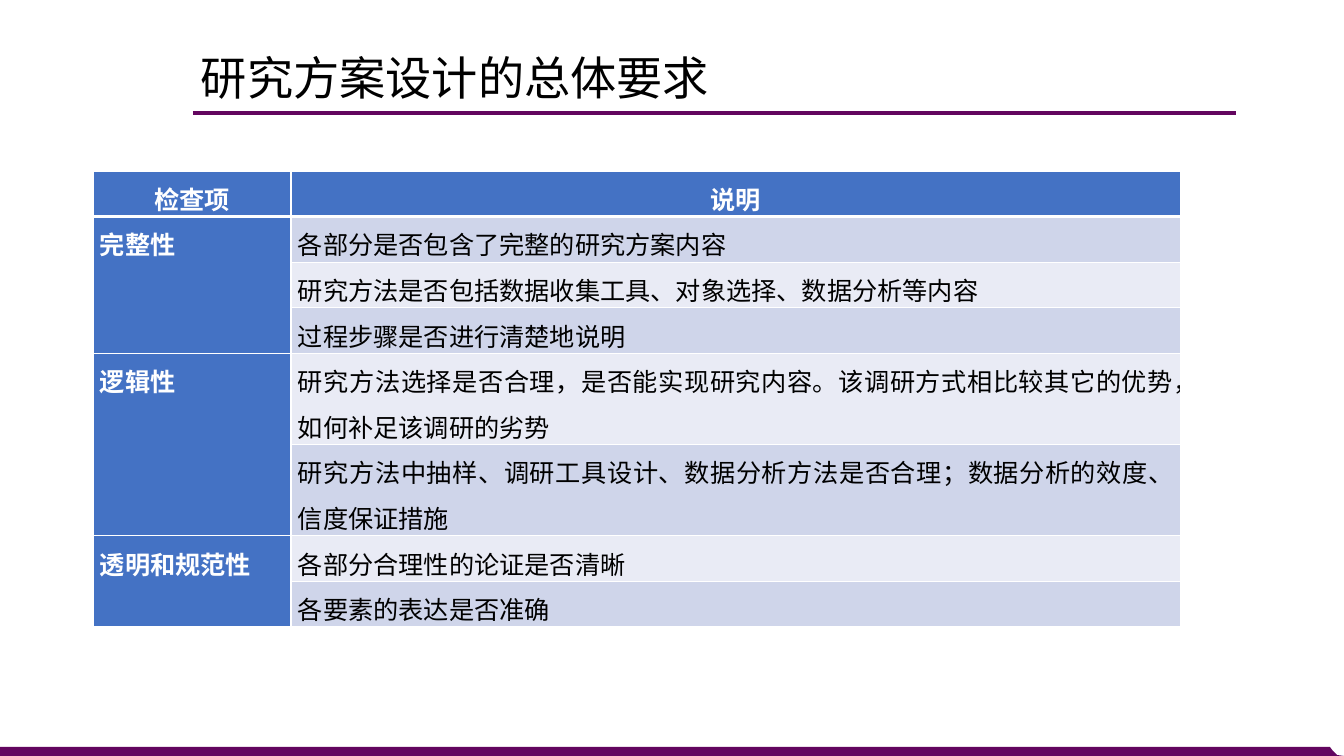
from lxml import etree
from pptx import Presentation
from pptx import util as u
from pptx.dml.color import RGBColor
from pptx.enum import shapes, text
from pptx.oxml import ns

EMU_PER_PX = 914400 / 100.8
FONT = "Noto Sans CJK SC"
COLORS = {
    "purple": "63065F",
    "blue": "4472C4",
    "band_dark": "CFD5EA",
    "band_light": "E9EBF5",
    "white": "FFFFFF",
    "black": "000000",
}
HEADERS = ["检查项", "说明"]
CHECKS = [
    ("完整性", [
        "各部分是否包含了完整的研究方案内容",
        "研究方法是否包括数据收集工具、对象选择、数据分析等内容",
        "过程步骤是否进行清楚地说明",
    ]),
    ("逻辑性", [
        "研究方法选择是否合理，是否能实现研究内容。该调研方式相比较其它的优势，如何补足该调研的劣势",
        "研究方法中抽样、调研工具设计、数据分析方法是否合理；数据分析的效度、信度保证措施",
    ]),
    ("透明和规范性", [
        "各部分合理性的论证是否清晰",
        "各要素的表达是否准确",
    ]),
]
COLUMN_WIDTHS = [198, 890]
ROW_HEIGHTS = [24, 24, 24, 24, 51, 24, 24, 24]


def px(length):
    """Turn pixels into EMU."""
    return u.Emu(round(length * EMU_PER_PX))


def color(name):
    """Look up a named colour."""
    return RGBColor.from_string(COLORS[name])


def format_paragraph(paragraph, size, color_name, spacing, latin=FONT, bold=False):
    """Set line spacing and the font of every run."""
    paragraph.line_spacing = spacing
    for run in paragraph.runs:
        run.font.size = u.Pt(size)
        run.font.bold = bold
        run.font.name = latin
        run.font.color.rgb = color(color_name)
        east_asian = etree.SubElement(run.font._element, ns.qn("a:ea"))
        east_asian.set("typeface", FONT)


def add_footer_band(slide):
    """Draw the band along the bottom with its notched right end."""
    builder = slide.shapes.build_freeform(0, 747, scale=EMU_PER_PX)
    builder.add_line_segments(
        [(1330, 747), (1333, 751), (1337, 755), (1344, 756), (0, 756)], close=True
    )
    shape = builder.convert_to_shape()
    shape.shadow.inherit = False
    shape.fill.solid()
    shape.fill.fore_color.rgb = color("purple")
    shape.line.fill.background()


def add_rule(slide, left, top, right):
    """Draw the horizontal rule under the title."""
    rule = slide.shapes.add_connector(
        shapes.MSO_CONNECTOR.STRAIGHT, px(left), px(top), px(right), px(top)
    )
    rule.line.color.rgb = color("purple")
    rule.line.width = u.Pt(2.25)
    etree.SubElement(rule._element.spPr, ns.qn("a:effectLst"))


def add_title(slide, wording, left, top, width, height):
    """Add the title text box."""
    box = slide.shapes.add_textbox(px(left), px(top), px(width), px(height))
    frame = box.text_frame
    frame.word_wrap = True
    frame.vertical_anchor = text.MSO_ANCHOR.MIDDLE
    frame.text = wording
    format_paragraph(frame.paragraphs[0], 33, "black", 0.9, latin="Arial")


def set_borders(cell, top, bottom):
    """Give a cell white borders with the top and bottom widths in points."""
    properties = cell._tc.get_or_add_tcPr()
    for side, width in (("L", 1), ("R", 1), ("T", top), ("B", bottom)):
        line = etree.SubElement(properties, ns.qn(f"a:ln{side}"), w=str(u.Pt(width)))
        fill = etree.SubElement(line, ns.qn("a:solidFill"))
        etree.SubElement(fill, ns.qn("a:srgbClr"), val=COLORS["white"])


def style_cell(cell, row, column):
    """Apply the borders, fill, margins and font that suit a cell's place."""
    set_borders(cell, 3 if row == 1 else 1, 3 if row == 0 else 1)
    heading = row == 0 or column == 0
    band = "band_dark" if row % 2 else "band_light"
    cell.fill.solid()
    cell.fill.fore_color.rgb = color("blue" if heading else band)
    cell.margin_left = cell.margin_right = px(7)
    cell.margin_top = cell.margin_bottom = 0
    paragraph = cell.text_frame.paragraphs[0]
    paragraph.alignment = text.PP_ALIGN.JUSTIFY if row else text.PP_ALIGN.CENTER
    format_paragraph(paragraph, 18, "white" if heading else "black", 1.25, bold=heading)


def add_check_table(slide, left, top):
    """Add the table of checks, one merged heading per group."""
    table = slide.shapes.add_table(
        len(ROW_HEIGHTS), len(COLUMN_WIDTHS), px(left), px(top),
        px(sum(COLUMN_WIDTHS)), px(356),
    ).table
    for column, width in zip(table.columns, COLUMN_WIDTHS):
        column.width = px(width)
    for row, height in zip(table.rows, ROW_HEIGHTS):
        row.height = px(height)
    for column, header in enumerate(HEADERS):
        table.cell(0, column).text_frame.text = header
    start = 1
    for name, descriptions in CHECKS:
        table.cell(start, 0).text_frame.text = name
        for row, description in enumerate(descriptions, start):
            table.cell(row, 1).text_frame.text = description
        table.cell(start, 0).merge(table.cell(row, 0))
        start = row + 1
    for row in range(len(ROW_HEIGHTS)):
        for column in range(len(COLUMN_WIDTHS)):
            style_cell(table.cell(row, column), row, column)


def main():
    """Build and save the slide."""
    presentation = Presentation()
    presentation.slide_width = px(1344)
    presentation.slide_height = px(756)
    slide = presentation.slides.add_slide(presentation.slide_layouts[6])
    add_footer_band(slide)
    add_rule(slide, 193, 113, 1236)
    add_check_table(slide, 93, 171)
    add_title(slide, "研究方案设计的总体要求", 191, 51, 744, 60)
    presentation.save("out.pptx")


if __name__ == "__main__":
    main()
